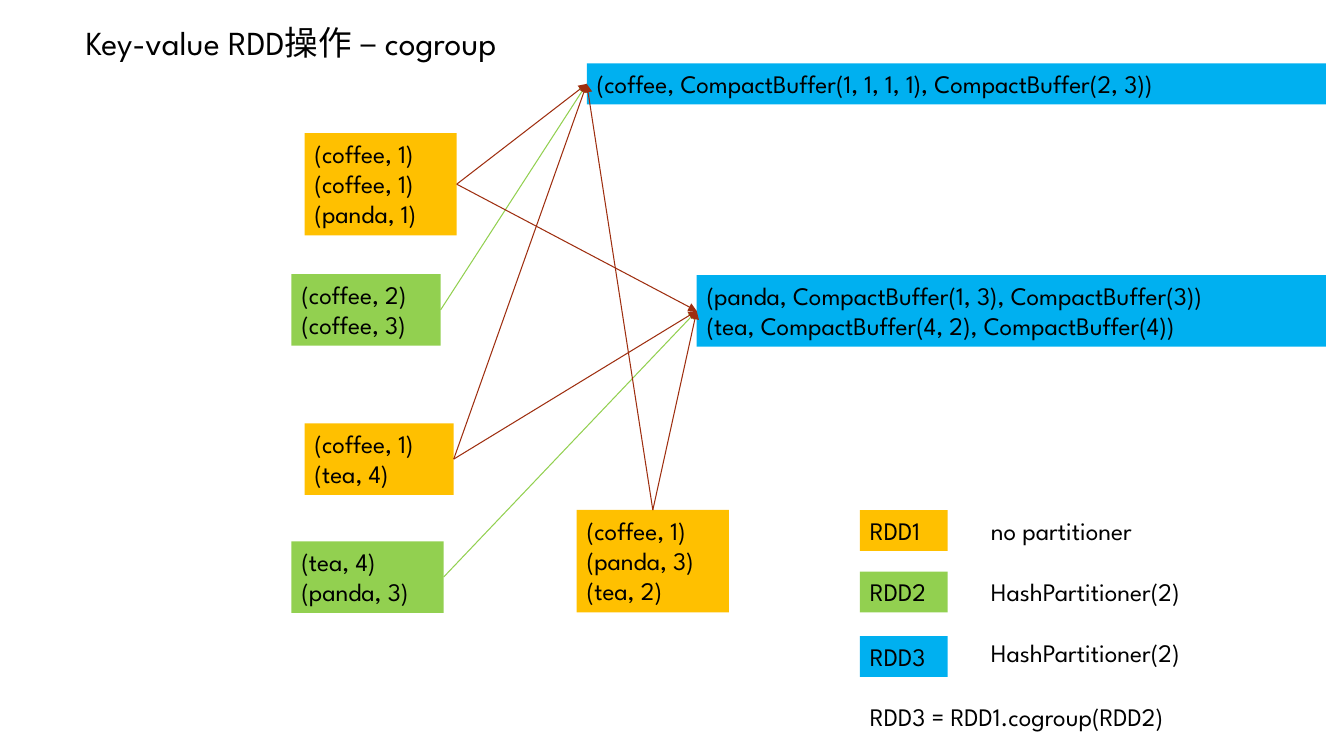
from lxml.etree import SubElement
from pptx import Presentation
from pptx.dml.color import RGBColor
from pptx.enum.shapes import MSO_CONNECTOR, MSO_SHAPE
from pptx.enum.text import MSO_ANCHOR, PP_ALIGN
from pptx.oxml.ns import qn
from pptx.util import Inches, Pt

THEME = {
    "font": "League Spartan", "title": 24, "body": 18, "line": 0.75,
    "text": "000000", "RDD1": "FFC000", "RDD2": "92D050", "RDD3": "00B0F0",
    "RDD1 arrow": "9E2E0F", "RDD2 arrow": "92D050",
}

# Content
TITLE = "Key-value RDD操作 – cogroup"
FORMULA = "RDD3 = RDD1.cogroup(RDD2)"
# name: (RDD, left, top, width, records)
PARTITIONS = {
    "rdd1 first": ("RDD1", 3.02, 1.32, 1.51, ["(coffee, 1)", "(coffee, 1)", "(panda, 1)"]),
    "rdd1 second": ("RDD1", 3.02, 4.2, 1.48, ["(coffee, 1)", "(tea, 4)"]),
    "rdd1 third": ("RDD1", 5.72, 5.06, 1.51, ["(coffee, 1)", "(panda, 3)", "(tea, 2)"]),
    "coffee": ("RDD3", 5.82, 0.63, 7.33,
               ["(coffee, CompactBuffer(1, 1, 1, 1), CompactBuffer(2, 3))"]),
    "panda and tea": ("RDD3", 6.91, 2.73, 6.24,
                      ["(panda, CompactBuffer(1, 3), CompactBuffer(3))",
                       "(tea, CompactBuffer(4, 2), CompactBuffer(4))"]),
    "rdd2 first": ("RDD2", 2.89, 2.72, 1.48, ["(coffee, 2)", "(coffee, 3)"]),
    "rdd2 second": ("RDD2", 2.89, 5.37, 1.51, ["(tea, 4)", "(panda, 3)"]),
}
TOP, LEFT, RIGHT = 0, 1, 3
RDD1_EXITS = [("rdd1 first", RIGHT), ("rdd1 second", RIGHT), ("rdd1 third", TOP)]
# (source, side it leaves from, target)
SHUFFLES = [("rdd2 first", RIGHT, "coffee"), ("rdd2 second", RIGHT, "panda and tea")]
SHUFFLES += [(source, side, target) for target in ("coffee", "panda and tea")
             for source, side in RDD1_EXITS]
# (RDD, swatch top, label top, partitioner)
LEGEND = [
    ("RDD1", 5.06, 5.06, "no partitioner"),
    ("RDD2", 5.67, 5.67, "HashPartitioner(2)"),
    ("RDD3", 6.31, 6.27, "HashPartitioner(2)"),
]
LEGEND_LEFT, SWATCH_WIDTH, LABEL_LEFT, LABEL_WIDTH = 8.53, 0.87, 9.73, 2.35
LINE_HEIGHT, PADDING = 0.305, 0.1


def color(name):
    return RGBColor.from_string(THEME[name])


def add_lines(slide, left, top, width, lines, fill=None, size="body"):
    """Place lines of text, on a filled rectangle when a fill is named."""
    height = PADDING + LINE_HEIGHT * len(lines) * THEME[size] / THEME["body"]
    place = [Inches(value) for value in (left, top, width, height)]
    if fill:
        box = slide.shapes.add_shape(MSO_SHAPE.RECTANGLE, *place)
        box.shadow.inherit = False
        box.fill.solid()
        box.fill.fore_color.rgb = color(fill)
        box.line.fill.background()
    else:
        box = slide.shapes.add_textbox(*place)
    frame = box.text_frame
    frame.word_wrap = True
    frame.vertical_anchor = MSO_ANCHOR.TOP
    for number, line in enumerate(lines):
        paragraph = frame.add_paragraph() if number else frame.paragraphs[0]
        paragraph.alignment = PP_ALIGN.LEFT
        run = paragraph.add_run()
        run.text = line
        run.font.name = THEME["font"]
        run.font.size = Pt(THEME[size])
        run.font.color.rgb = color("text")
    return box


def add_shuffle(slide, source, side, target, line_color):
    """Draw an arrow from one side of the source to the target's left side."""
    arrow = slide.shapes.add_connector(MSO_CONNECTOR.STRAIGHT, 0, 0, 0, 0)
    arrow.begin_connect(source, side)
    arrow.end_connect(target, LEFT)
    arrow.line.color.rgb = color(line_color)
    arrow.line.width = Pt(THEME["line"])
    properties = arrow.line._get_or_add_ln()
    SubElement(properties, qn("a:tailEnd"), type="triangle")
    SubElement(arrow._element.spPr, qn("a:effectLst"))


def main():
    deck = Presentation()
    deck.slide_width, deck.slide_height = Inches(13.33), Inches(7.5)
    slide = deck.slides.add_slide(deck.slide_layouts[6])

    # Title
    add_lines(slide, 0.75, 0.17, 5.07, [TITLE], size="title")

    # Partitions and the shuffles between them
    boxes = {name: add_lines(slide, left, top, width, records, rdd)
             for name, (rdd, left, top, width, records) in PARTITIONS.items()}
    for source, side, target in SHUFFLES:
        rdd = PARTITIONS[source][0]
        add_shuffle(slide, boxes[source], side, boxes[target], f"{rdd} arrow")

    # Legend
    for rdd, swatch_top, label_top, partitioner in LEGEND:
        add_lines(slide, LEGEND_LEFT, swatch_top, SWATCH_WIDTH, [rdd], rdd)
        add_lines(slide, LABEL_LEFT, label_top, LABEL_WIDTH, [partitioner])
    add_lines(slide, LEGEND_LEFT, 6.91, 3.82, [FORMULA])

    deck.save("out.pptx")


if __name__ == "__main__":
    main()
